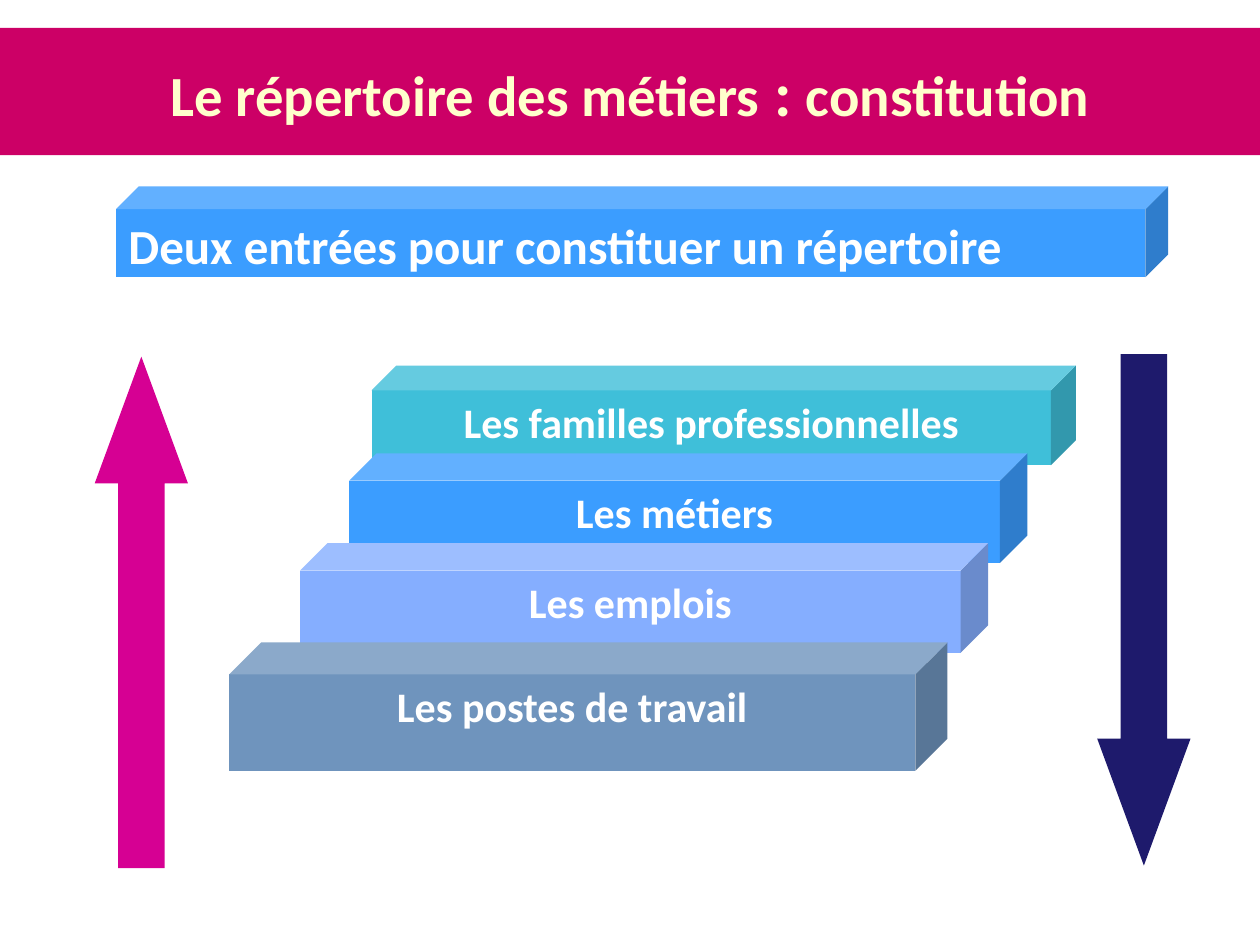
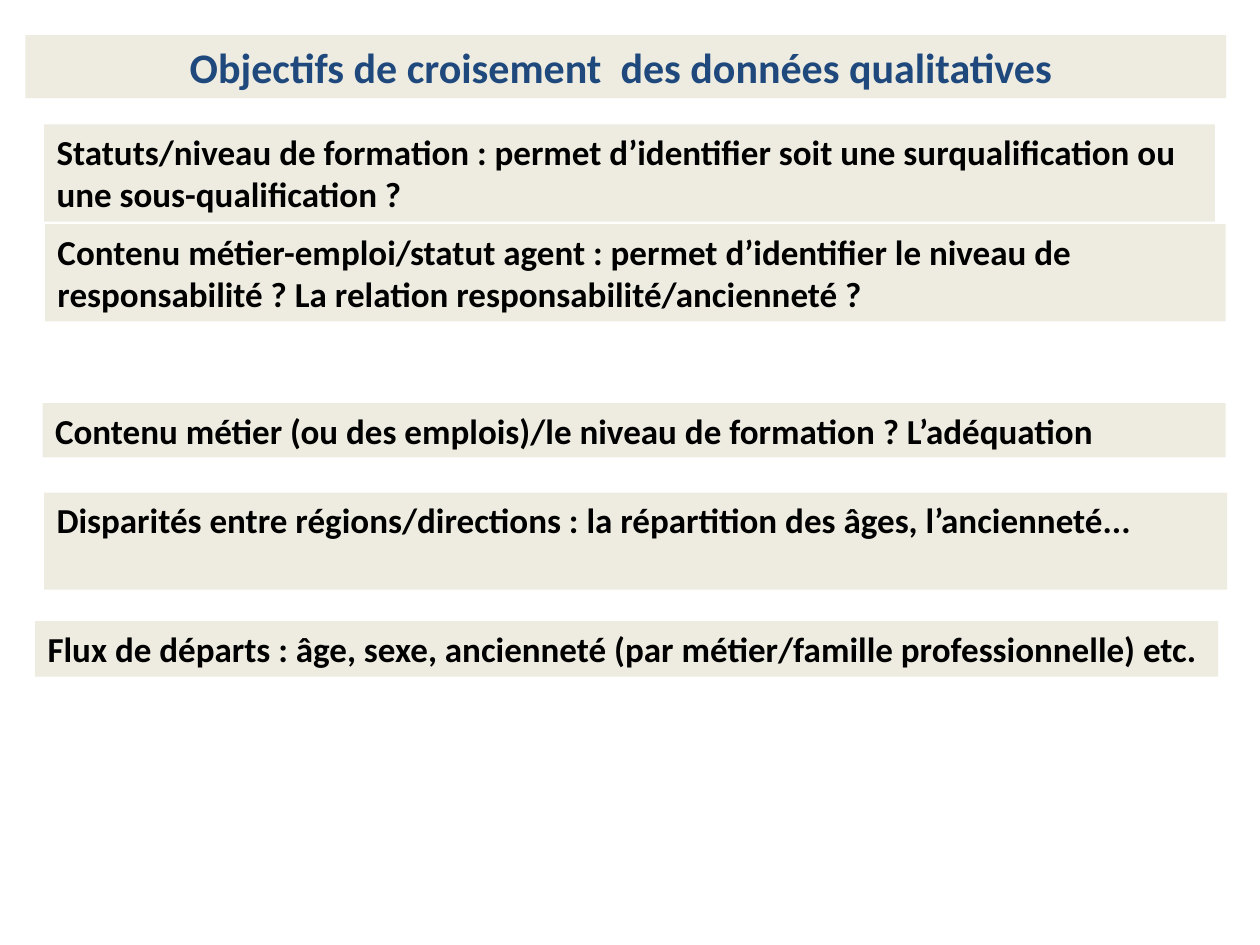
from dataclasses import dataclass
from typing import Any

from pptx import Presentation
from pptx import util as u
from pptx.dml import color as col
from pptx.enum import shapes, text

Kind = shapes.MSO_SHAPE
Side = text.PP_ALIGN
Hold = text.MSO_ANCHOR


@dataclass(frozen=True)
class Theme:
    face: str = "Calibri"
    white: str = "FFFFFF"
    black: str = "000000"
    cream: str = "FFFFCC"
    band: str = "CC0066"
    sand: str = "EEECE1"
    navy: str = "1F497D"
    azure: str = "3B9DFF"
    teal: str = "3FBFD9"
    lilac: str = "85AEFF"
    steel: str = "6F94BD"
    pink: str = "D60093"
    night: str = "1E1A6C"
    colon: float = 36
    head: float = 32.4
    lead: float = 28
    step: float = 24
    body: float = 20


T = Theme()


@dataclass(frozen=True)
class Run:
    words: str
    size: float
    ink: str


@dataclass(frozen=True)
class Block:
    left: float
    top: float
    width: float
    height: float
    fill: str
    runs: tuple[Run, ...] = ()
    kind: Any = Kind.RECTANGLE
    align: Any = Side.LEFT
    anchor: Any = Hold.TOP
    bends: tuple[float, ...] = ()


def apply(item: Any, form: dict[str, Any]) -> None:
    for name, value in form.items():
        setattr(item, name, value)


def paint(shape: Any, block: Block) -> None:
    apply(shape, {
        "left": u.Cm(block.left),
        "top": u.Cm(block.top),
        "width": u.Cm(block.width),
        "height": u.Cm(block.height),
    })
    shape.fill.solid()
    shape.fill.fore_color.rgb = col.RGBColor.from_string(block.fill)
    shape.line.fill.background()
    if block.runs:
        write(shape.text_frame, block)


def write(frame: Any, block: Block) -> None:
    apply(frame, {
        "word_wrap": True,
        "auto_size": text.MSO_AUTO_SIZE.NONE,
        "vertical_anchor": block.anchor,
    })
    para = frame.paragraphs[0]
    para.alignment = block.align
    for part in block.runs:
        run = para.add_run()
        run.text = part.words
        apply(run.font, {"name": T.face, "size": u.Pt(part.size), "bold": True})
        run.font.color.rgb = col.RGBColor.from_string(part.ink)


def draw(slide: Any, block: Block) -> None:
    shape = slide.shapes.add_shape(block.kind, 0, 0, 0, 0)
    shape.shadow.inherit = False
    for index, value in enumerate(block.bends):
        shape.adjustments[index] = value
    paint(shape, block)


def build(deck: Any, title: Block, blocks: list[Block]) -> None:
    slide = deck.slides.add_slide(deck.slide_layouts.get_by_name("Title Only"))
    paint(slide.shapes.title, title)
    for block in blocks:
        draw(slide, block)


def cube(left: float, top: float, width: float, height: float, fill: str,
         words: str, size: float = T.step, align: Any = Side.CENTER) -> Block:
    return Block(left, top, width, height, fill, (Run(words, size, T.white),),
                 Kind.CUBE, align)


def arrow(left: float, top: float, fill: str, kind: Any) -> Block:
    return Block(left, top, 1.88, 10.31, fill, kind=kind, bends=(0.5, 1.36))


def note(left: float, top: float, width: float, height: float, words: str) -> Block:
    return Block(left, top, width, height, T.sand, (Run(words, T.body, T.black),))


def main() -> None:
    deck = Presentation()
    apply(deck, {"slide_width": u.Cm(25.4), "slide_height": u.Cm(19.05)})

    build(deck, Block(0, 0.56, 25.4, 2.57, T.band, (
        Run("Le répertoire des métiers", T.head, T.cream),
        Run(" : ", T.colon, T.cream),
        Run("constitution", T.head, T.cream),
    ), align=Side.CENTER, anchor=Hold.MIDDLE), [
        cube(2.34, 3.76, 21.21, 1.83, T.azure,
             "Deux entrées pour constituer un répertoire", T.lead, Side.LEFT),
        cube(7.49, 7.37, 14.2, 2.01, T.teal, "Les familles professionnelles"),
        cube(7.04, 9.14, 13.67, 2.21, T.azure, "Les métiers"),
        cube(6.05, 10.95, 13.87, 2.21, T.lilac, "Les emplois"),
        cube(4.62, 12.95, 14.48, 2.59, T.steel, "Les postes de travail"),
        arrow(1.91, 7.19, T.pink, Kind.UP_ARROW),
        arrow(22.12, 7.14, T.night, Kind.DOWN_ARROW),
    ])

    build(deck, Block(0.51, 0.71, 24.21, 1.27, T.sand, (
        Run("Objectifs de croisement  des données qualitatives ", T.step, T.navy),
    ), align=Side.CENTER), [
        note(0.89, 2.51, 23.6, 1.96,
             "Statuts/niveau de formation : permet d’identifier soit une "
             "surqualification ou une sous-qualification ?"),
        note(0.91, 4.52, 23.8, 1.96,
             "Contenu métier-emploi/statut agent : permet d’identifier le niveau de "
             "responsabilité ? La relation responsabilité/ancienneté ?"),
        note(0.86, 8.13, 23.85, 1.09,
             "Contenu métier (ou des emplois)/le niveau de formation ? L’adéquation"),
        note(0.89, 9.93, 23.85, 1.96,
             "Disparités entre régions/directions : la répartition des âges, "
             "l’ancienneté..."),
        note(0.71, 12.52, 23.85, 1.12,
             "Flux de départs : âge, sexe, ancienneté (par métier/famille "
             "professionnelle) etc."),
    ])
    deck.save("out.pptx")


if __name__ == "__main__":
    main()
